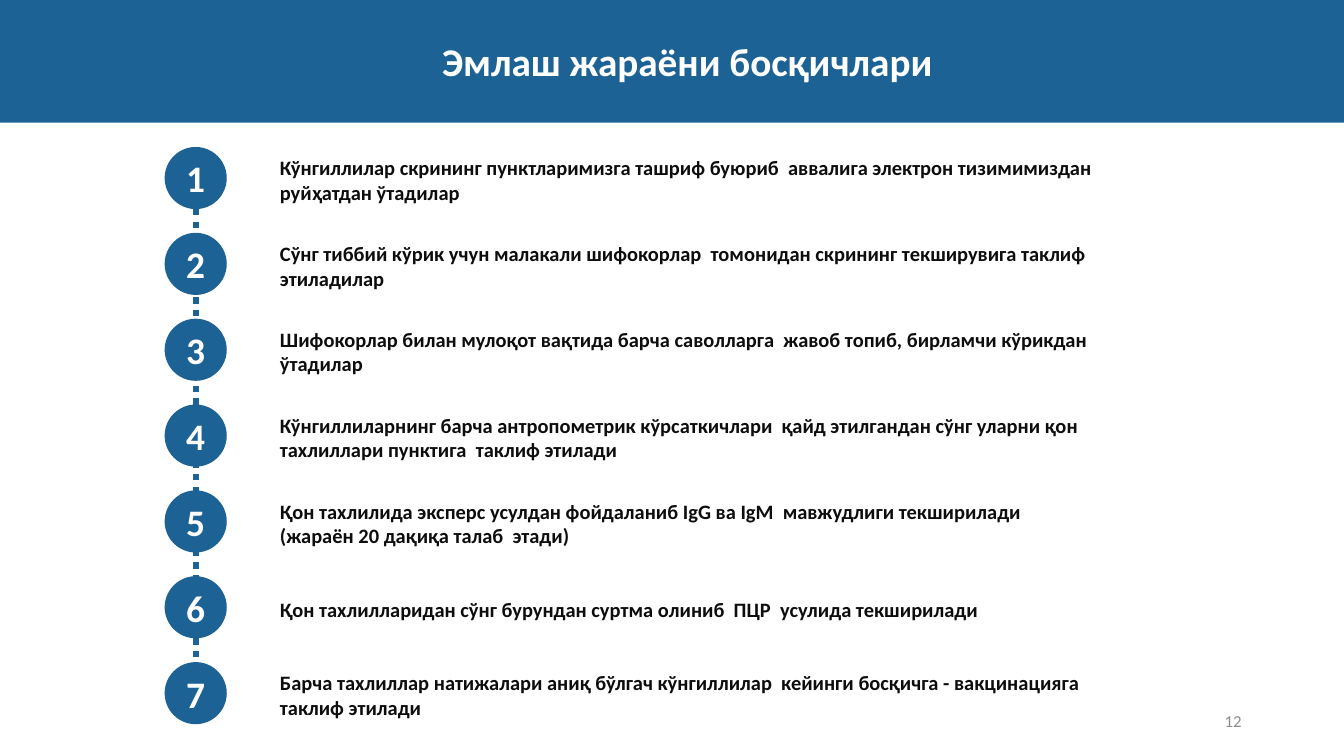
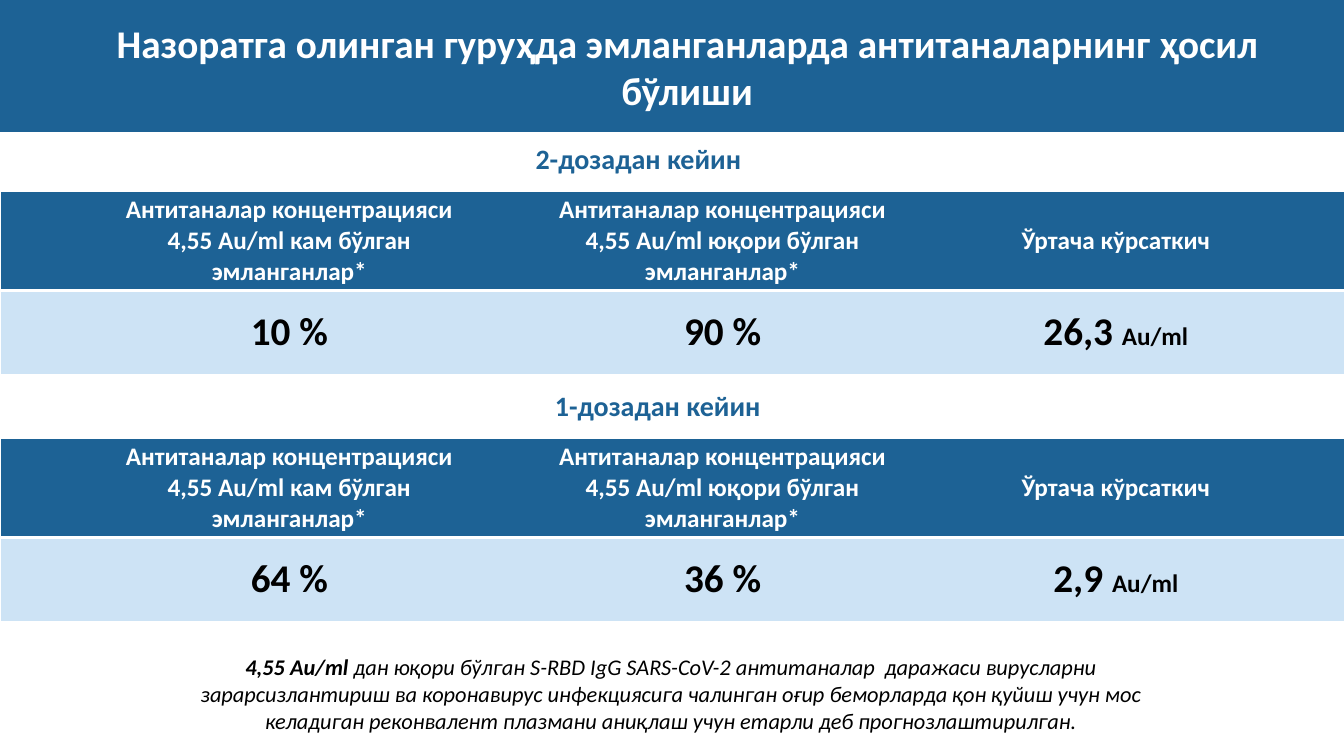
"""Build two slides on the vaccination steps and the antibody results."""
import dataclasses
import typing

import lxml.etree
import pptx
import pptx.dml.color
import pptx.enum.dml
import pptx.enum.shapes
import pptx.enum.text
import pptx.oxml
import pptx.oxml.ns
import pptx.util

RGBColor = pptx.dml.color.RGBColor
BLUE = RGBColor(0x1D, 0x62, 0x95)
PALE_BLUE = RGBColor(0xCD, 0xE3, 0xF5)
WHITE = RGBColor(0xFF, 0xFF, 0xFF)
BLACK = RGBColor(0x00, 0x00, 0x00)
INK = RGBColor(0x0D, 0x0D, 0x0D)
GRAY = RGBColor(0x8C, 0x8C, 0x8C)

GRID_COLUMNS, GRID_ROWS = 160, 90
GRID_UNIT = pptx.util.Inches(7.5) // GRID_ROWS
TITLE_ONLY_LAYOUT = 5
PLAIN_TABLE_STYLE = "{2D5ABB26-0587-4C30-8999-92F81FD0307C}"
CENTER = pptx.enum.text.PP_ALIGN.CENTER
LEFT = pptx.enum.text.PP_ALIGN.LEFT
RIGHT = pptx.enum.text.PP_ALIGN.RIGHT
MIDDLE = pptx.enum.text.MSO_ANCHOR.MIDDLE
TOP = pptx.enum.text.MSO_ANCHOR.TOP

FRAME_FORMAT = {"word_wrap": True, "auto_size": pptx.enum.text.MSO_AUTO_SIZE.NONE}
CELL_FORMAT = {
    "vertical_anchor": MIDDLE,
    "margin_left": pptx.util.Inches(0.2),
    "margin_right": pptx.util.Inches(0.2),
    "margin_top": pptx.util.Inches(0.03),
    "margin_bottom": pptx.util.Inches(0.03),
}
TABLE_FORMAT = {"first_row": False, "horz_banding": False}


@dataclasses.dataclass(frozen=True)
class Style:
    size: float
    color: RGBColor
    bold: bool = True
    italic: bool = False


class Box(typing.NamedTuple):
    column: float
    row: float
    columns: float
    rows: float

    def lengths(self) -> list[int]:
        return [grid(value) for value in self]


class Piece(typing.NamedTuple):
    text: str
    style: Style


@dataclasses.dataclass(frozen=True)
class DoseResult:
    heading: str
    heading_column: float
    table_row: float
    low: str
    high: str
    average: str


TITLE = Style(28, WHITE)
NUMBER = Style(26.7, WHITE)
STEP = Style(14.6, INK)
PAGE_NUMBER = Style(12, GRAY, bold=False)
HEADING = Style(20, BLUE)
TABLE_HEADER = Style(18, WHITE)
TABLE_VALUE = Style(28, BLACK)
TABLE_UNIT = Style(18, BLACK)
NOTE_LEAD = Style(16, BLACK, italic=True)
NOTE = Style(16, BLACK, bold=False, italic=True)

CIRCLE_COLUMN, CIRCLE_SIZE = 19.6, 7.4
FIRST_STEP_ROW, STEP_PITCH = 17.5, 10.22
STEPS = [
    "Кўнгиллилар скрининг пунктларимизга ташриф буюриб  аввалига электрон тизимимиздан руйҳатдан ўтадилар",
    "Сўнг тиббий кўрик учун малакали шифокорлар  томонидан скрининг текширувига таклиф этиладилар",
    "Шифокорлар билан мулоқот вақтида барча саволларга  жавоб топиб, бирламчи кўрикдан ўтадилар",
    "Кўнгиллиларнинг барча антропометрик кўрсаткичлари  қайд этилгандан сўнг уларни қон тахлиллари пунктига  таклиф этилади",
    "Қон тахлилида эксперс усулдан фойдаланиб IgG ва IgM  мавжудлиги текширилади (жараён 20 дақиқа талаб  этади)",
    "Қон тахлилларидан сўнг бурундан суртма олиниб  ПЦР  усулида текширилади",
    "Барча тахлиллар натижалари аниқ бўлгач кўнгиллилар  кейинги босқичга - вакцинацияга таклиф этилади",
]

TABLE_COLUMNS = [11.9, 45.1, 3.9, 47.5, 3.9, 35.6, 12.1]
TABLE_ROWS = [11.8, 10]
TEXT_COLUMNS = [1, 3, 5]
HEADERS = [
    "Антитаналар концентрацияси 4,55 Au/ml кам бўлган эмланганлар*",
    "Антитаналар концентрацияси 4,55 Au/ml юқори бўлган эмланганлар*",
    "Ўртача кўрсаткич",
]
RESULTS = [
    DoseResult("2-дозадан кейин", 10.3, 22.8, "10 %", "90 %", "26,3 "),
    DoseResult("1-дозадан кейин", 12.6, 52.2, "64 %", "36 %", "2,9 "),
]
NOTE_TEXT = (
    "дан юқори бўлган S-RBD IgG SARS-CoV-2 антитаналар  даражаси вирусларни "
    "зарарсизлантириш ва коронавирус инфекциясига чалинган оғир беморларда қон қуйиш "
    "учун мос келадиган реконвалент плазмани аниқлаш учун етарли деб прогнозлаштирилган."
)


def grid(units: float) -> int:
    """Turn grid units into a length."""
    return round(units * GRID_UNIT)


def apply_format(target: typing.Any, values: dict[str, typing.Any]) -> None:
    """Set every named attribute on the target."""
    for name, value in values.items():
        setattr(target, name, value)


def write(frame: typing.Any, pieces: list[Piece], alignment: typing.Any) -> None:
    """Write the pieces as the runs of the first paragraph."""
    paragraph = frame.paragraphs[0]
    paragraph.alignment = alignment
    for piece in pieces:
        run = paragraph.add_run()
        run.text = piece.text
        style = piece.style
        apply_format(run.font, {
            "name": "Calibri",
            "size": pptx.util.Pt(style.size),
            "bold": style.bold,
            "italic": style.italic,
        })
        run.font.color.rgb = style.color


def add_text(slide: typing.Any, box: Box, pieces: list[Piece],
             alignment: typing.Any = CENTER, anchor: typing.Any = MIDDLE) -> None:
    """Add a wrapping text box."""
    frame = slide.shapes.add_textbox(*box.lengths()).text_frame
    apply_format(frame, {**FRAME_FORMAT, "vertical_anchor": anchor})
    write(frame, pieces, alignment)


def add_blue_shape(slide: typing.Any, kind: typing.Any, box: Box) -> typing.Any:
    """Add a blue shape without outline or shadow."""
    shape = slide.shapes.add_shape(kind, *box.lengths())
    shape.shadow.inherit = False
    shape.fill.solid()
    shape.fill.fore_color.rgb = BLUE
    shape.line.fill.background()
    return shape


def add_titled_slide(presentation: typing.Any, title: str, band_rows: float) -> typing.Any:
    """Add a slide with its title over a blue band."""
    slide = presentation.slides.add_slide(presentation.slide_layouts[TITLE_ONLY_LAYOUT])
    band = add_blue_shape(slide, pptx.enum.shapes.MSO_SHAPE.RECTANGLE,
                          Box(0, 0, GRID_COLUMNS, band_rows))
    placeholder = slide.shapes.title
    box = Box(6.4, 0, 150.8, band_rows)
    apply_format(placeholder, dict(zip(("left", "top", "width", "height"), box.lengths())))
    apply_format(placeholder.text_frame, {**FRAME_FORMAT, "vertical_anchor": MIDDLE})
    write(placeholder.text_frame, [Piece(title, TITLE)], CENTER)
    band.element.addnext(placeholder.element)
    return slide


def add_dotted_line(slide: typing.Any, column: float, first_row: float, last_row: float) -> typing.Any:
    """Add a vertical dotted line."""
    connector = slide.shapes.add_connector(
        pptx.enum.shapes.MSO_CONNECTOR.STRAIGHT,
        grid(column), grid(first_row), grid(column), grid(last_row))
    connector.line.color.rgb = BLUE
    apply_format(connector.line, {
        "width": pptx.util.Pt(4.5),
        "dash_style": pptx.enum.dml.MSO_LINE.ROUND_DOT,
    })
    lxml.etree.SubElement(connector.element.spPr, pptx.oxml.ns.qn("a:effectLst"))
    return connector


def add_borders(cell: typing.Any, widths: dict[str, float]) -> None:
    """Give a cell white borders, named by side in schema order."""
    properties = cell._tc.get_or_add_tcPr()
    for position, (side, width) in enumerate(widths.items()):
        border = pptx.oxml.parse_xml(
            f'<a:ln{side} {pptx.oxml.ns.nsdecls("a")} w="{pptx.util.Pt(width)}">'
            f'<a:solidFill><a:srgbClr val="{WHITE}"/></a:solidFill></a:ln{side}>')
        properties.insert(position, border)


def add_result_table(slide: typing.Any, result: DoseResult) -> None:
    """Add the heading and the table of one dose."""
    add_text(slide, Box(result.heading_column, result.table_row - 6.4, 131.4, 4.8),
             [Piece(result.heading, HEADING)])
    box = Box(0, result.table_row, sum(TABLE_COLUMNS), sum(TABLE_ROWS))
    frame = slide.shapes.add_table(len(TABLE_ROWS), len(TABLE_COLUMNS), *box.lengths())
    table = frame.table
    apply_format(table, TABLE_FORMAT)
    for style_id in frame.element.iter(pptx.oxml.ns.qn("a:tableStyleId")):
        style_id.text = PLAIN_TABLE_STYLE
    for column, width in zip(table.columns, TABLE_COLUMNS):
        column.width = grid(width)
    for row, height in zip(table.rows, TABLE_ROWS):
        row.height = grid(height)

    values = [
        [Piece(result.low, TABLE_VALUE)],
        [Piece(result.high, TABLE_VALUE)],
        [Piece(result.average, TABLE_VALUE), Piece("Au/ml", TABLE_UNIT)],
    ]
    contents = [[[Piece(header, TABLE_HEADER)] for header in HEADERS], values]
    last_column = len(TABLE_COLUMNS) - 1
    row_looks = [(BLUE, {"T": 1, "B": 3}), (PALE_BLUE, {"T": 3, "B": 1})]
    for row_index, (color, row_borders) in enumerate(row_looks):
        for column_index in range(len(TABLE_COLUMNS)):
            cell = table.cell(row_index, column_index)
            apply_format(cell, CELL_FORMAT)
            cell.fill.solid()
            cell.fill.fore_color.rgb = color
            edges = {0: {"L": 1}, last_column: {"R": 1}}.get(column_index, {})
            add_borders(cell, {**edges, **row_borders})
        for column_index, pieces in zip(TEXT_COLUMNS, contents[row_index]):
            write(table.cell(row_index, column_index).text_frame, pieces, CENTER)


def build_steps_slide(presentation: typing.Any) -> None:
    """Build the slide with the numbered steps."""
    slide = add_titled_slide(presentation, "Эмлаш жараёни босқичлари", 14.6)
    last_row = FIRST_STEP_ROW + STEP_PITCH * (len(STEPS) - 1)
    add_dotted_line(slide, CIRCLE_COLUMN + CIRCLE_SIZE / 2, FIRST_STEP_ROW + CIRCLE_SIZE, last_row)
    for index, step in enumerate(STEPS):
        row = FIRST_STEP_ROW + STEP_PITCH * index
        circle = add_blue_shape(slide, pptx.enum.shapes.MSO_SHAPE.OVAL,
                                Box(CIRCLE_COLUMN, row, CIRCLE_SIZE, CIRCLE_SIZE))
        circle.text_frame.vertical_anchor = MIDDLE
        write(circle.text_frame, [Piece(str(index + 1), NUMBER)], CENTER)
        add_text(slide, Box(32.15, row + 0.2, 100, CIRCLE_SIZE), [Piece(step, STEP)], LEFT)
    add_text(slide, Box(113, 83.4, 36, 4.8), [Piece("12", PAGE_NUMBER)], RIGHT)


def build_results_slide(presentation: typing.Any) -> None:
    """Build the slide with the antibody results."""
    slide = add_titled_slide(
        presentation, "Назоратга олинган гуруҳда эмланганларда антитаналарнинг ҳосил бўлиши", 15.7)
    for result in RESULTS:
        add_result_table(slide, result)
    add_text(slide, Box(22.4, 77.2, 115, 10.9),
             [Piece("4,55 Au/ml ", NOTE_LEAD), Piece(NOTE_TEXT, NOTE)], anchor=TOP)


def main() -> None:
    """Build and save the presentation."""
    presentation = pptx.Presentation()
    apply_format(presentation, {
        "slide_width": grid(GRID_COLUMNS),
        "slide_height": grid(GRID_ROWS),
    })
    build_steps_slide(presentation)
    build_results_slide(presentation)
    presentation.save("out.pptx")


if __name__ == "__main__":
    main()
